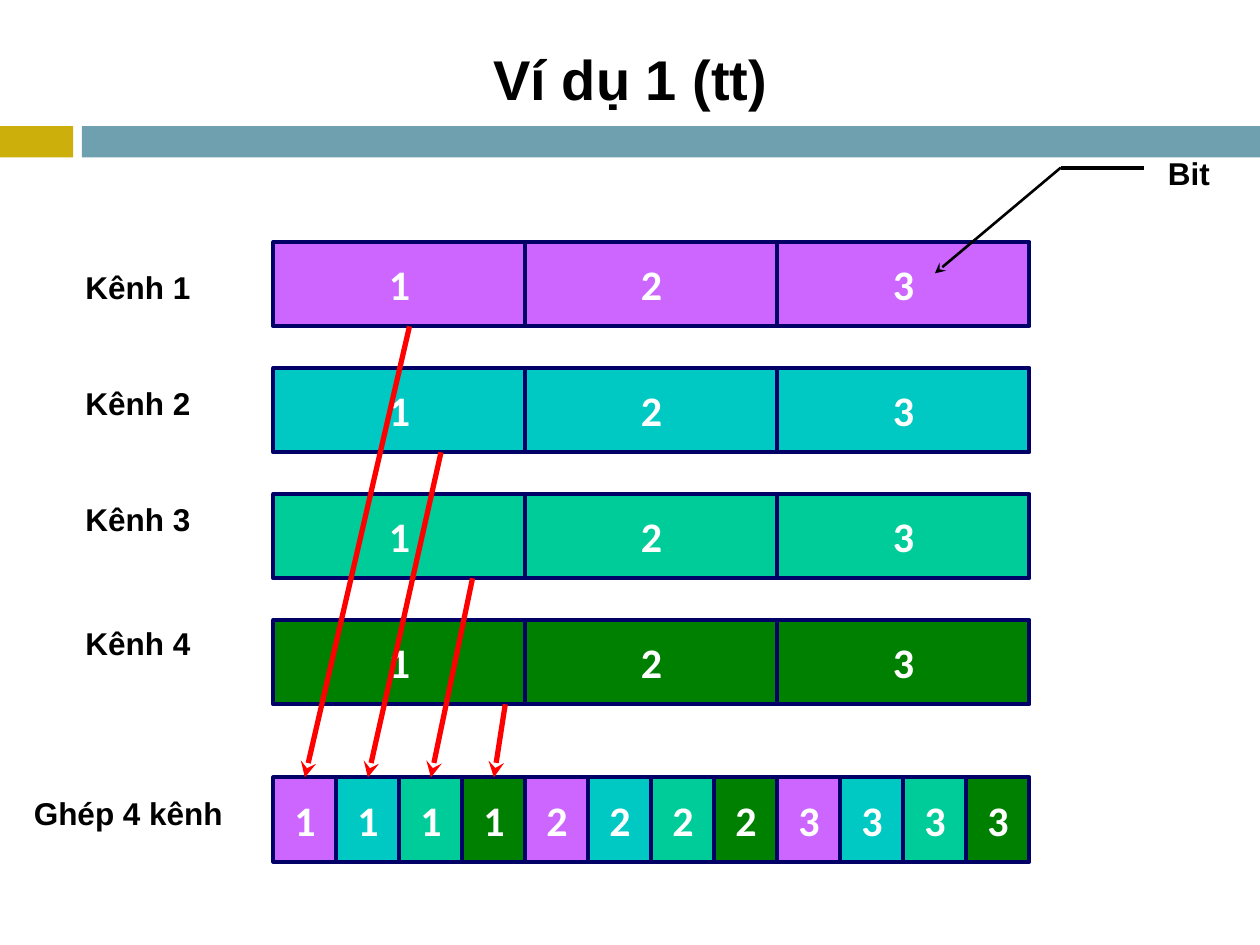
from dataclasses import dataclass

import pptx
from pptx.dml.color import RGBColor
from pptx.enum.shapes import MSO_CONNECTOR, MSO_SHAPE
from pptx.enum.text import MSO_ANCHOR, MSO_AUTO_SIZE, PP_ALIGN
from pptx.oxml.ns import qn
from pptx.util import Inches, Pt
from lxml import etree


@dataclass(frozen=True)
class Theme:
    gold: str = "CCAF0A"
    steel: str = "6EA0B0"
    black: str = "000000"
    white: str = "FFFFFF"
    navy: str = "000066"
    red: str = "FF0000"
    channels: tuple = ("CC66FF", "00C8C3", "00CC99", "008000")
    label_font: str = "Arial"
    bit_font: str = "Calibri"
    title_size: int = 32
    label_size: int = 18
    bit_size: int = 24


THEME = Theme()
ROW_LEFT, CHANNEL_TOP, CHANNEL_STEP = 2.17, 1.92, 1
BIT_WIDTH, BIT_HEIGHT, BIT_COUNT = 2, 0.67, 3
MERGED_TOP = 6.17
SLOT_WIDTH = BIT_WIDTH / len(THEME.channels)
LABEL_TOPS = (2.08, 3, 3.92, 4.9)
ARROW_STARTS = (3.25, 3.5, 3.75, 4.01)


def inches(*lengths):
    return [Inches(length) for length in lengths]


def style_text(paragraph, font_name, size, color):
    font = paragraph.font
    font.name, font.size, font.bold = font_name, Pt(size), True
    font.color.rgb = RGBColor.from_string(color)


def add_title(slide, text):
    title = slide.shapes.title
    title.left, title.top, title.width, title.height = inches(0.42, 0.17, 9.17, 0.9)
    title.text_frame.text = text
    title.text_frame.vertical_anchor = MSO_ANCHOR.MIDDLE
    heading = title.text_frame.paragraphs[0]
    heading.alignment = PP_ALIGN.CENTER
    style_text(heading, THEME.label_font, THEME.title_size, THEME.black)


def add_block(shapes, left, top, width, height, fill):
    block = shapes.add_shape(MSO_SHAPE.RECTANGLE, *inches(left, top, width, height))
    block.shadow.inherit = False
    block.fill.solid()
    block.fill.fore_color.rgb = RGBColor.from_string(fill)
    block.line.fill.background()
    return block


def add_bit(shapes, left, top, width, fill, number):
    bit = add_block(shapes, left, top, width, BIT_HEIGHT, fill)
    bit.line.color.rgb = RGBColor.from_string(THEME.navy)
    bit.line.width = Pt(2.25)
    frame = bit.text_frame
    frame.text = str(number)
    frame.word_wrap = False
    frame.vertical_anchor = MSO_ANCHOR.MIDDLE
    digit = frame.paragraphs[0]
    digit.alignment = PP_ALIGN.CENTER
    style_text(digit, THEME.bit_font, THEME.bit_size, THEME.white)
    return bit


def add_label(slide, text, left, top, width):
    frame = slide.shapes.add_textbox(*inches(left, top, width, 0.4)).text_frame
    frame.text = text
    frame.word_wrap = True
    frame.auto_size = MSO_AUTO_SIZE.SHAPE_TO_FIT_TEXT
    style_text(frame.paragraphs[0], THEME.label_font, THEME.label_size, THEME.black)


def add_line(slide, start, end, color, width, arrow=False):
    line = slide.shapes.add_connector(MSO_CONNECTOR.STRAIGHT, *inches(*start, *end))
    line.line.color.rgb = RGBColor.from_string(color)
    line.line.width = Pt(width)
    if arrow:
        outline = line.line._get_or_add_ln()
        etree.SubElement(outline, qn("a:tailEnd"), type="stealth")
    etree.SubElement(line._element.spPr, qn("a:effectLst"))
    return line


def add_channels(slide):
    """Draw the labelled input rows, each holding one bit per column."""
    rows = slide.shapes.add_group_shape().shapes
    for channel, (color, label_top) in enumerate(zip(THEME.channels, LABEL_TOPS)):
        add_label(slide, f"Kênh {channel + 1}", 0.58, label_top, 1.17)
        for column in range(BIT_COUNT):
            add_bit(rows, ROW_LEFT + column * BIT_WIDTH,
                    CHANNEL_TOP + channel * CHANNEL_STEP,
                    BIT_WIDTH, color, column + 1)


def add_merged_row(slide):
    """Draw the interleaved output row and return its slots in order."""
    add_label(slide, "Ghép 4 kênh", 0.17, 6.25, 1.92)
    channel_count = len(THEME.channels)
    slots = []
    for position in range(BIT_COUNT * channel_count):
        column, channel = divmod(position, channel_count)
        slots.append(add_bit(slide.shapes, ROW_LEFT + position * SLOT_WIDTH, MERGED_TOP,
                             SLOT_WIDTH, THEME.channels[channel], column + 1))
    return slots


def add_bit_callout(slide):
    elbow = (8.42, 1.33)
    add_line(slide, elbow, (7.42, 2.17), THEME.black, 1.5, arrow=True)
    add_line(slide, elbow, (9.08, 1.33), THEME.black, 2.25)
    add_label(slide, "Bit", 9.17, 1.17, 0.58)


def add_merge_arrows(slide, slots):
    for channel, (start_x, slot) in enumerate(zip(ARROW_STARTS, slots)):
        start_y = CHANNEL_TOP + channel * CHANNEL_STEP + BIT_HEIGHT
        slot_middle = ROW_LEFT + (channel + 0.5) * SLOT_WIDTH
        arrow = add_line(slide, (start_x, start_y), (slot_middle, MERGED_TOP),
                         THEME.red, 3, arrow=True)
        arrow.end_connect(slot, 0)


def main():
    presentation = pptx.Presentation()
    presentation.slide_width, presentation.slide_height = inches(10, 7.5)
    slide = presentation.slides.add_slide(presentation.slide_layouts.get_by_name("Title Only"))
    add_block(slide.shapes, 0, 1, 0.58, 0.25, THEME.gold)
    add_block(slide.shapes, 0.65, 1, 9.35, 0.25, THEME.steel)
    add_title(slide, "Ví dụ 1 (tt)")
    add_channels(slide)
    add_bit_callout(slide)
    slots = add_merged_row(slide)
    add_merge_arrows(slide, slots)
    presentation.save("out.pptx")


if __name__ == "__main__":
    main()
